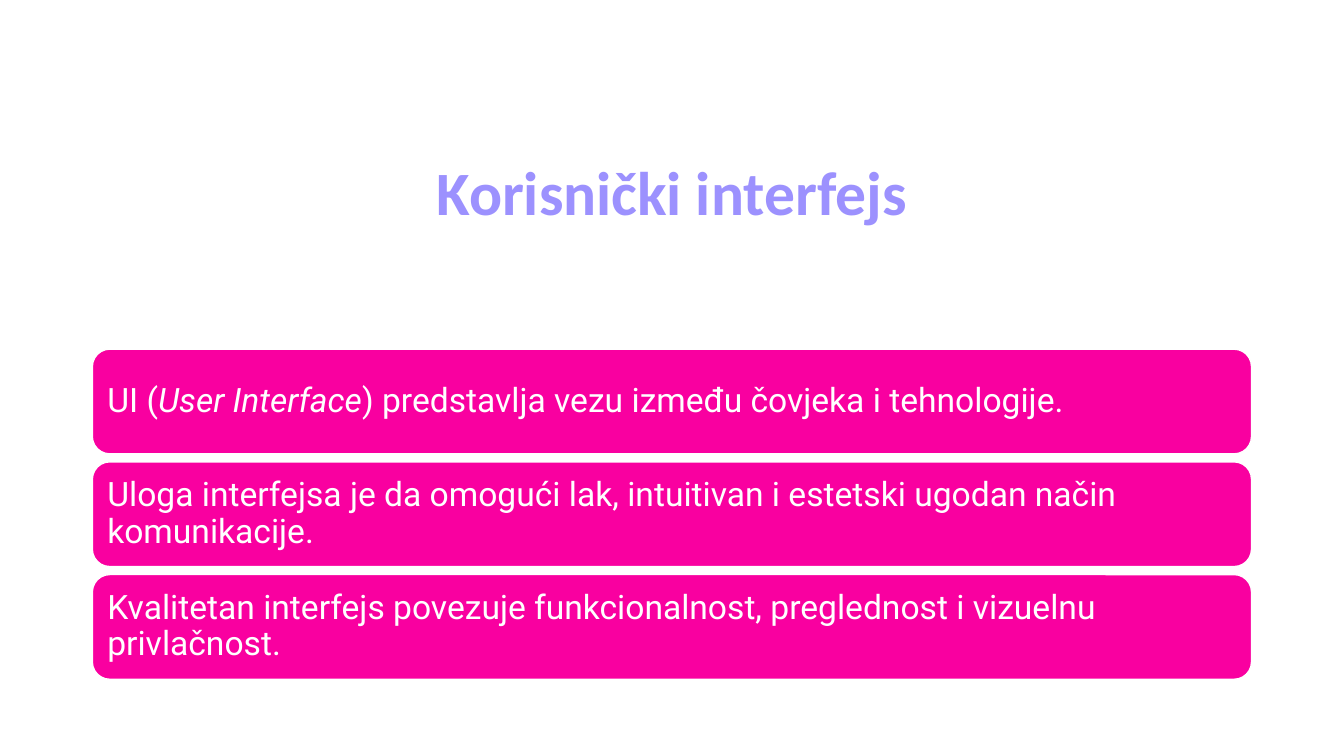
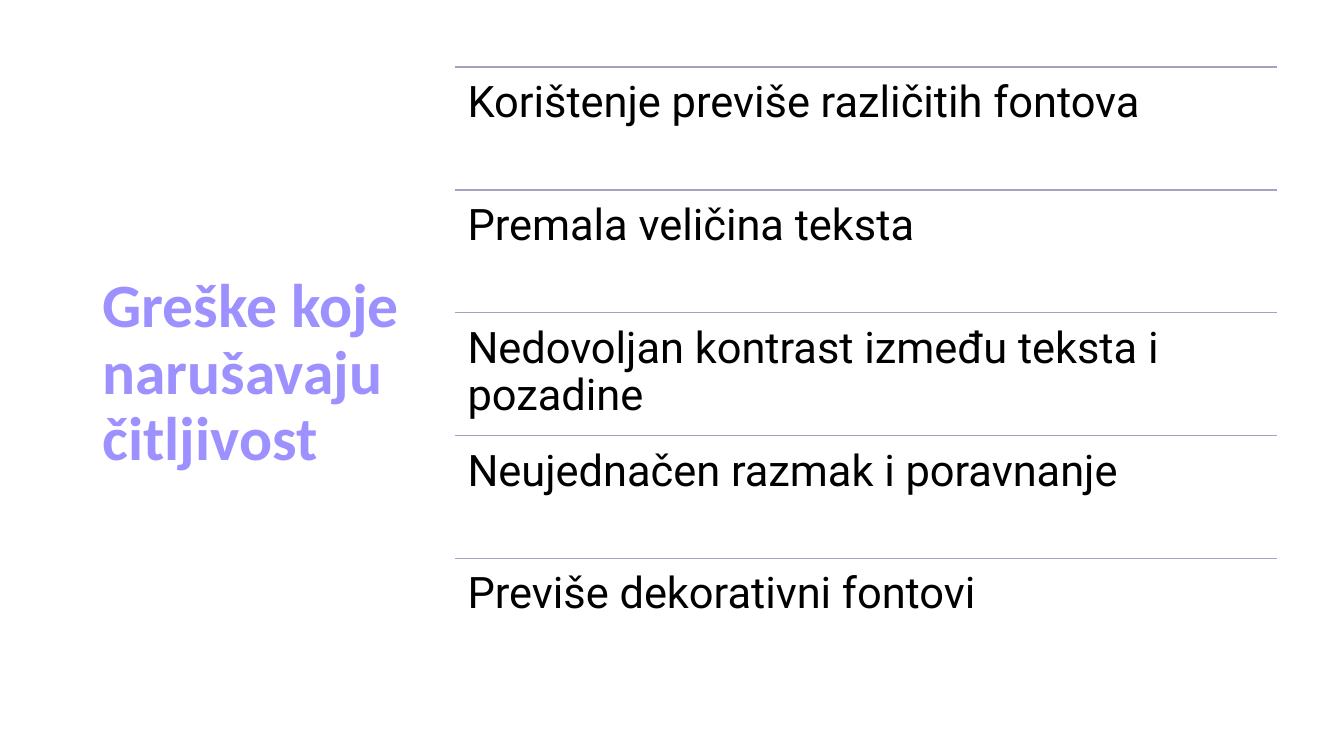
from dataclasses import dataclass

from lxml.etree import SubElement
from pptx import Presentation
from pptx.dml.color import RGBColor
from pptx.enum.shapes import MSO_CONNECTOR as Connector, MSO_SHAPE as Preset
from pptx.enum.text import MSO_ANCHOR as Anchor, MSO_AUTO_SIZE as AutoSize, PP_ALIGN as Align
from pptx.oxml.ns import qn
from pptx.presentation import Presentation as Deck
from pptx.slide import Slide
from pptx.text.text import TextFrame
from pptx.util import Pt

COLORS = {
    "background": "FFFFFF",
    "title": "9C91FE",
    "card": "F900A0",
    "card_text": "FFFFFF",
    "rule": "A3A3C1",
    "row_text": "000000",
}
TITLE_FONT = "Calibri"
BODY_FONT = "Roboto"
LINE_SPACING = 0.9
TITLE_ONLY = 5


@dataclass(frozen=True)
class Box:
    left: float
    top: float
    width: float
    height: float

    def shifted(self, distance: float) -> "Box":
        return Box(self.left, self.top + distance, self.width, self.height)

    def points(self) -> tuple[Pt, Pt, Pt, Pt]:
        return Pt(self.left), Pt(self.top), Pt(self.width), Pt(self.height)


@dataclass(frozen=True)
class Span:
    text: str
    italic: bool = False


@dataclass(frozen=True)
class TextStyle:
    font: str
    size: float
    color: str
    anchor: Anchor
    align: Align = Align.LEFT
    bold: bool = False
    side_inset: float = 7.2
    end_inset: float = 7.2


CARD_STYLE = TextStyle(BODY_FONT, 24, "card_text", Anchor.MIDDLE)
ROW_STYLE = TextStyle(BODY_FONT, 31, "row_text", Anchor.TOP, side_inset=9.3, end_inset=9.3)

FIRST_CARD = Box(66, 249.4, 828, 74.8)
CARD_PITCH = 80.5
CARDS = [
    [
        Span("UI ("),
        Span("User Interface", italic=True),
        Span(") predstavlja vezu između čovjeka i tehnologije."),
    ],
    [Span("Uloga interfejsa je da omogući lak, intuitivan i estetski ugodan način komunikacije.")],
    [Span("Kvalitetan interfejs povezuje funkcionalnost, preglednost i vizuelnu privlačnost.")],
]

FIRST_ROW = Box(324.7, 48, 587.5, 87.7)
ROWS = [
    "Korištenje previše različitih fontova",
    "Premala veličina teksta",
    "Nedovoljan kontrast između teksta i pozadine",
    "Neujednačen razmak i poravnanje",
    "Previše dekorativni fontovi",
]


def rgb(name: str) -> RGBColor:
    return RGBColor.from_string(COLORS[name])


def write_text(frame: TextFrame, spans: list[Span], style: TextStyle) -> None:
    frame.word_wrap = True
    frame.auto_size = AutoSize.NONE
    frame.vertical_anchor = style.anchor
    frame.margin_left = frame.margin_right = Pt(style.side_inset)
    frame.margin_top = frame.margin_bottom = Pt(style.end_inset)
    para = frame.paragraphs[0]
    para.alignment = style.align
    para.line_spacing = LINE_SPACING
    para.font.name = style.font
    para.font.size = Pt(style.size)
    para.font.bold = style.bold
    para.font.color.rgb = rgb(style.color)
    for span in spans:
        run = para.add_run()
        run.text = span.text
        if span.italic:
            run.font.italic = True


def add_page(deck: Deck, title: str, box: Box, align: Align) -> Slide:
    page = deck.slides.add_slide(deck.slide_layouts[TITLE_ONLY])
    page.background.fill.solid()
    page.background.fill.fore_color.rgb = rgb("background")
    heading = page.shapes.title
    heading.left, heading.top, heading.width, heading.height = box.points()
    style = TextStyle(TITLE_FONT, 44, "title", Anchor.MIDDLE, align, bold=True, end_inset=3.6)
    write_text(heading.text_frame, [Span(title)], style)
    return page


def add_card(page: Slide, box: Box, spans: list[Span]) -> None:
    card = page.shapes.add_shape(Preset.ROUNDED_RECTANGLE, *box.points())
    card.shadow.inherit = False
    card.fill.solid()
    card.fill.fore_color.rgb = rgb("card")
    card.line.color.rgb = rgb("background")
    card.line.width = Pt(1)
    write_text(card.text_frame, spans, CARD_STYLE)


def add_row(page: Slide, box: Box, text: str) -> None:
    left, top, width, height = box.points()
    rule = page.shapes.add_connector(Connector.STRAIGHT, left, top, left + width, top)
    rule.line.color.rgb = rgb("rule")
    rule.line.width = Pt(1)
    SubElement(rule.element.spPr, qn("a:effectLst"))
    label = page.shapes.add_textbox(left, top, width, height)
    write_text(label.text_frame, [Span(text)], ROW_STYLE)


def build_interface_page(deck: Deck) -> None:
    page = add_page(deck, "Korisnički interfejs", Box(66, 48, 828, 183), Align.CENTER)
    for index, spans in enumerate(CARDS):
        add_card(page, FIRST_CARD.shifted(index * CARD_PITCH), spans)


def build_mistakes_page(deck: Deck) -> None:
    title = "Greške koje narušavaju čitljivost"
    page = add_page(deck, title, Box(66, 48, 232.6, 438.5), Align.LEFT)
    for index, text in enumerate(ROWS):
        add_row(page, FIRST_ROW.shifted(index * FIRST_ROW.height), text)


def main() -> None:
    deck = Presentation()
    deck.slide_width, deck.slide_height = Pt(960), Pt(540)
    build_interface_page(deck)
    build_mistakes_page(deck)
    deck.save("out.pptx")


if __name__ == "__main__":
    main()
